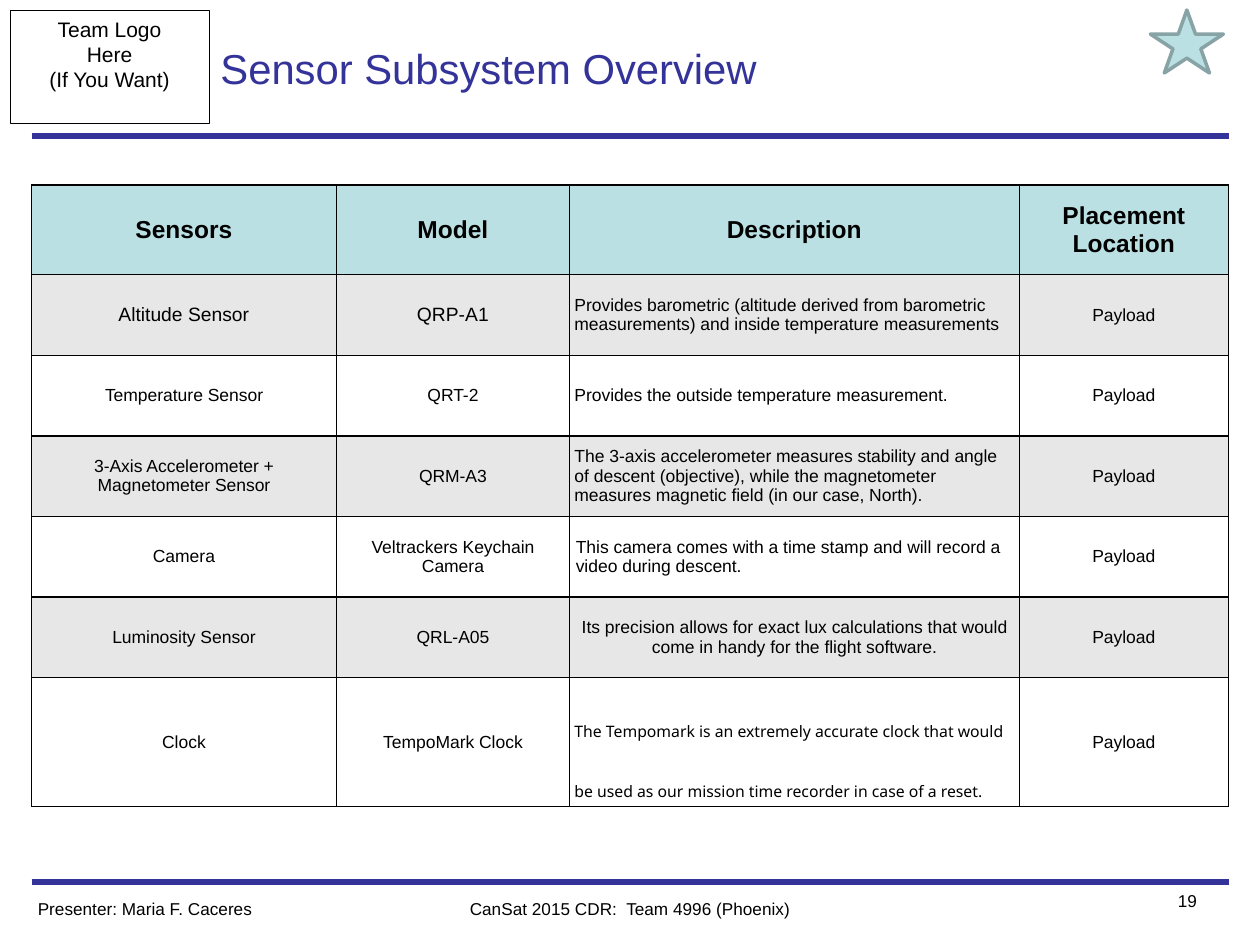
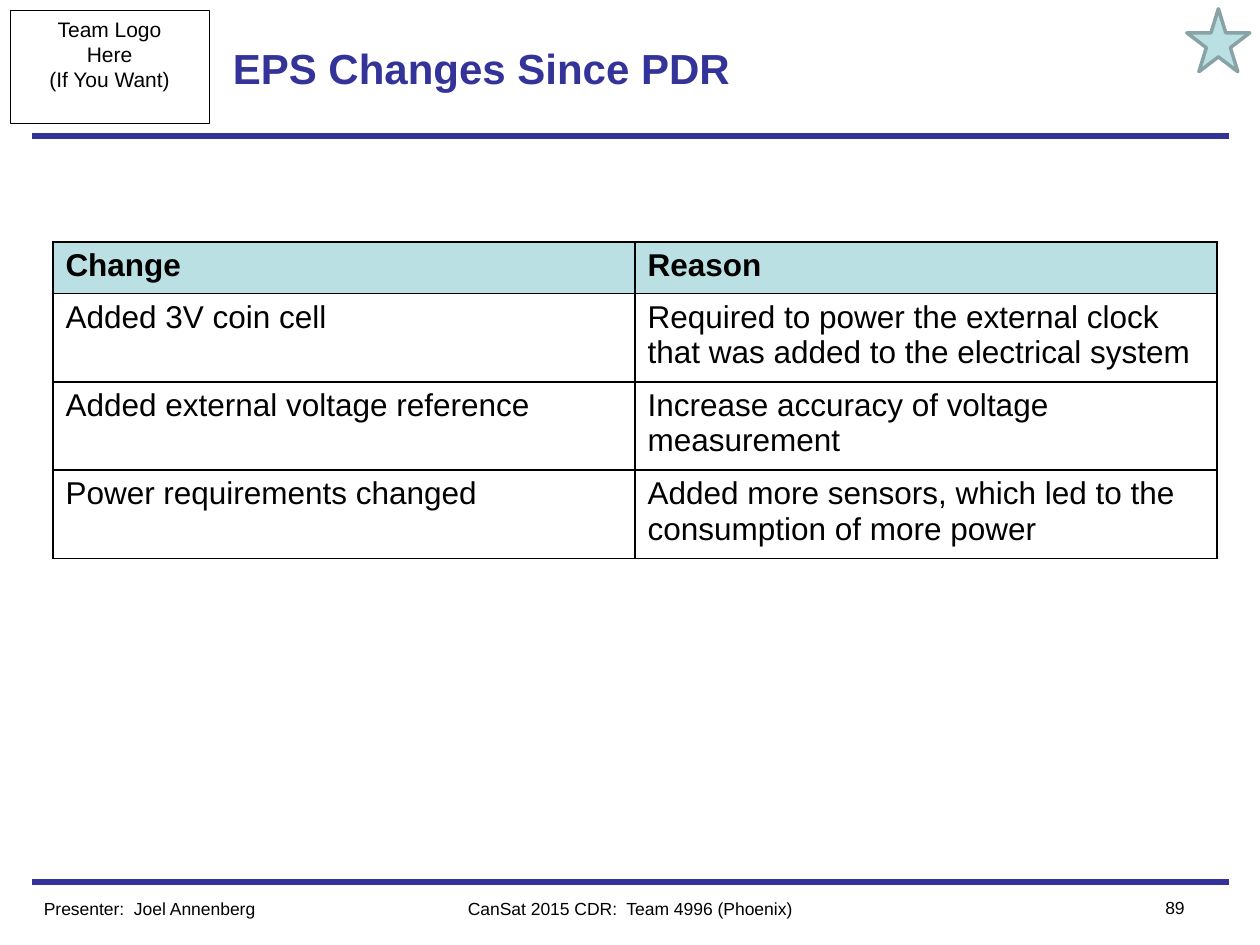
from dataclasses import dataclass
from typing import Optional

import pptx
import pptx.dml.color
import pptx.enum.shapes
import pptx.enum.text
import pptx.oxml
import pptx.oxml.ns
import pptx.util
from pptx.util import Inches

COLORS = {"navy": "333399", "black": "000000", "teal": "BBE0E3",
          "star_edge": "88A3A6", "band": "E7E7E7"}
FONT = "Arial"
ALIGN = pptx.enum.text.PP_ALIGN
ANCHOR = pptx.enum.text.MSO_ANCHOR
SHAPE = pptx.enum.shapes.MSO_SHAPE


@dataclass
class Style:
    size: float
    color: str = "black"
    bold: bool = False
    align: ALIGN = ALIGN.LEFT
    font: str = FONT
    line_spacing: Optional[pptx.util.Length] = None


@dataclass
class Cell:
    text: str
    style: Style
    margins: tuple[float, float]
    fill: Optional[str] = None
    anchor: ANCHOR = ANCHOR.MIDDLE


@dataclass
class Frame:
    """What differs between slides in the shared title, star and footer."""
    title: str
    title_size: float
    title_bold: bool
    presenter: str
    page: str
    footer_size: float
    star: tuple[float, float, float, float]
    title_margins: tuple[float, float]
    footer_margins: tuple[float, float]
    page_margins: tuple[float, float]


def rgb(name: str) -> pptx.dml.color.RGBColor:
    return pptx.dml.color.RGBColor.from_string(COLORS[name])


def style_paragraph(p, style: Style) -> None:
    p.alignment = style.align
    if style.line_spacing:
        p.line_spacing = style.line_spacing
    p.font.size = pptx.util.Pt(style.size)
    p.font.name = style.font
    p.font.bold = style.bold
    p.font.color.rgb = rgb(style.color)


def set_margins(target, margins: tuple[float, float]) -> None:
    x, y = margins
    target.margin_left = target.margin_right = Inches(x)
    target.margin_top = target.margin_bottom = Inches(y)


def add_text(slide, box: tuple, text: str, style: Style, margins: tuple[float, float],
             anchor: ANCHOR = ANCHOR.TOP) -> None:
    tf = slide.shapes.add_textbox(*map(Inches, box)).text_frame
    tf.word_wrap = True
    tf.vertical_anchor = anchor
    set_margins(tf, margins)
    tf.text = text
    style_paragraph(tf.paragraphs[0], style)


def add_rule(slide, y: float) -> None:
    line = slide.shapes.add_connector(pptx.enum.shapes.MSO_CONNECTOR.STRAIGHT,
                                      Inches(0.25), Inches(y), Inches(9.75), Inches(y))
    line.line.color.rgb = rgb("navy")
    line.line.width = pptx.util.Pt(3)
    line._element.spPr.append(pptx.oxml.parse_xml(
        f"<a:effectLst {pptx.oxml.ns.nsdecls('a')}/>"))


def add_outlined(slide, kind: SHAPE, box: tuple, edge: str, width: float,
                 fill: Optional[str] = None):
    sp = slide.shapes.add_shape(kind, *map(Inches, box))
    sp.shadow.inherit = False
    if fill:
        sp.fill.solid()
        sp.fill.fore_color.rgb = rgb(fill)
    else:
        sp.fill.background()
    sp.line.color.rgb = rgb(edge)
    sp.line.width = pptx.util.Pt(width)
    return sp


def add_frame(slide, frame: Frame) -> None:
    # Rules above and below the content
    for y in (7, 1.08):
        add_rule(slide, y)

    # Team logo box
    logo = add_outlined(slide, SHAPE.RECTANGLE, (0.08, 0.08, 1.58, 0.9), "black", 0.5)
    tf = logo.text_frame
    tf.word_wrap = False
    tf.vertical_anchor = ANCHOR.TOP
    tf.text = "Team Logo\nHere\n(If You Want)"
    for p in tf.paragraphs:
        style_paragraph(p, Style(12, align=ALIGN.CENTER))

    # Title and star
    add_text(slide, (1.75, 0.08, 6.5, 0.92), frame.title,
             Style(frame.title_size, "navy", frame.title_bold), frame.title_margins,
             ANCHOR.MIDDLE)
    add_outlined(slide, SHAPE.STAR_5_POINT, frame.star, "star_edge", 2, "teal")

    # Footer
    size = frame.footer_size
    add_text(slide, (0.25, 7.08, 2.5, 0.27), frame.presenter, Style(size),
             frame.footer_margins)
    add_text(slide, (3, 7.08, 4, 0.27), "CanSat 2015 CDR:  Team 4996 (Phoenix)",
             Style(size, align=ALIGN.CENTER), frame.footer_margins)
    add_text(slide, (8.75, 7.07, 0.75, 0.27), frame.page,
             Style(size, align=ALIGN.RIGHT), frame.page_margins)


def add_borders(cell) -> None:
    tc_pr = cell._tc.get_or_add_tcPr()
    for side in ("lnL", "lnR", "lnT", "lnB"):
        tc_pr.append(pptx.oxml.parse_xml(
            f'<a:{side} {pptx.oxml.ns.nsdecls("a")} w="{pptx.util.Pt(1)}"><a:solidFill>'
            f'<a:srgbClr val="{COLORS["black"]}"/></a:solidFill></a:{side}>'))


def add_table(slide, left: float, top: float, widths: list[float],
              heights: list[float], rows: list[list[Cell]]) -> None:
    table = slide.shapes.add_table(len(rows), len(widths), Inches(left), Inches(top),
                                   Inches(sum(widths)), Inches(sum(heights))).table
    table.first_row = table.horz_banding = False
    for col, width in zip(table.columns, widths):
        col.width = Inches(width)
    for row, height, cells in zip(table.rows, heights, rows):
        row.height = Inches(height)
        for cell, content in zip(row.cells, cells):
            add_borders(cell)
            if content.fill:
                cell.fill.solid()
                cell.fill.fore_color.rgb = rgb(content.fill)
            else:
                cell.fill.background()
            cell.vertical_anchor = content.anchor
            set_margins(cell, content.margins)
            cell.text = content.text
            style_paragraph(cell.text_frame.paragraphs[0], content.style)


# Sensor slide content
SENSOR_FRAME = Frame("Sensor Subsystem Overview", 23.9, False,
                     "Presenter: Maria F. Caceres", "19", 9.8,
                     (9.13, 0.08, 0.58, 0.5), (0, 0), (0.05, 0.05), (0, 0))
SENSOR_HEADER = ["Sensors", "Model", "Description", "Placement Location"]
SENSORS = [
    ("Altitude Sensor", "QRP-A1",
     "Provides barometric (altitude derived from barometric measurements) and inside "
     "temperature measurements"),
    ("Temperature Sensor", "QRT-2", "Provides the outside temperature measurement."),
    ("3-Axis Accelerometer + Magnetometer Sensor", "QRM-A3",
     "The 3-axis accelerometer measures stability and angle of descent (objective), "
     "while the magnetometer measures magnetic field (in our case, North)."),
    ("Camera", "Veltrackers Keychain Camera",
     "This camera comes with a time stamp and will record a video during descent."),
    ("Luminosity Sensor", "QRL-A05",
     "Its precision allows for exact lux calculations that would come in handy for the "
     "flight software."),
    ("Clock", "TempoMark Clock",
     "The Tempomark is an extremely accurate clock that would be used as our mission "
     "time recorder in case of a reset."),
]

# EPS slide content
EPS_FRAME = Frame("EPS Changes Since PDR", 24, True, "Presenter:  Joel Annenberg",
                  "89", 10, (9.42, 0.07, 0.5, 0.5), (0.1, 0.05), (0.1, 0.05), (0.1, 0.05))
EPS_CHANGES = [
    ("Change", "Reason"),
    ("Added 3V coin cell",
     "Required to power the external clock that was added to the electrical system"),
    ("Added external voltage reference", "Increase accuracy of voltage measurement"),
    ("Power requirements changed",
     "Added more sensors, which led to the consumption of more power"),
]


def sensor_rows() -> list[list[Cell]]:
    tight = (0.04, 0.04)
    rows = [[Cell(text, Style(14, bold=True, align=ALIGN.CENTER), tight, "teal")
             for text in SENSOR_HEADER]]
    descriptions = {
        "Luminosity Sensor": Style(10, align=ALIGN.CENTER),
        "Clock": Style(9, font="Noto Sans", line_spacing=pptx.util.Pt(34)),
    }
    for i, (sensor, model, description) in enumerate(SENSORS):
        fill = "band" if i % 2 == 0 else None
        name_style = Style(11 if i == 0 else 10, align=ALIGN.CENTER)
        margins = (0.05, 0.05) if sensor == "Camera" else tight
        rows.append([
            Cell(sensor, name_style, tight, fill),
            Cell(model, name_style, tight, fill),
            Cell(description, descriptions.get(sensor, Style(10)), margins, fill),
            Cell("Payload", Style(10, align=ALIGN.CENTER), tight, fill),
        ])
    return rows


def eps_rows() -> list[list[Cell]]:
    return [[Cell(text, Style(18, bold=i == 0), (0.1, 0.05),
                  "teal" if i == 0 else None, ANCHOR.TOP) for text in row]
            for i, row in enumerate(EPS_CHANGES)]


def main() -> None:
    prs = pptx.Presentation()
    prs.slide_width, prs.slide_height = Inches(10), Inches(7.5)
    blank = prs.slide_layouts[6]

    # Sensor overview
    slide = prs.slides.add_slide(blank)
    add_frame(slide, SENSOR_FRAME)
    add_table(slide, 0.25, 1.47, [2.42, 1.85, 3.57, 1.66],
              [0.71] + [0.64] * 5 + [1.01], sensor_rows())

    # EPS changes
    slide = prs.slides.add_slide(blank)
    add_frame(slide, EPS_FRAME)
    add_table(slide, 0.42, 1.92, [4.62] * 2, [0.41] + [0.7] * 3, eps_rows())

    prs.save("out.pptx")


if __name__ == "__main__":
    main()
